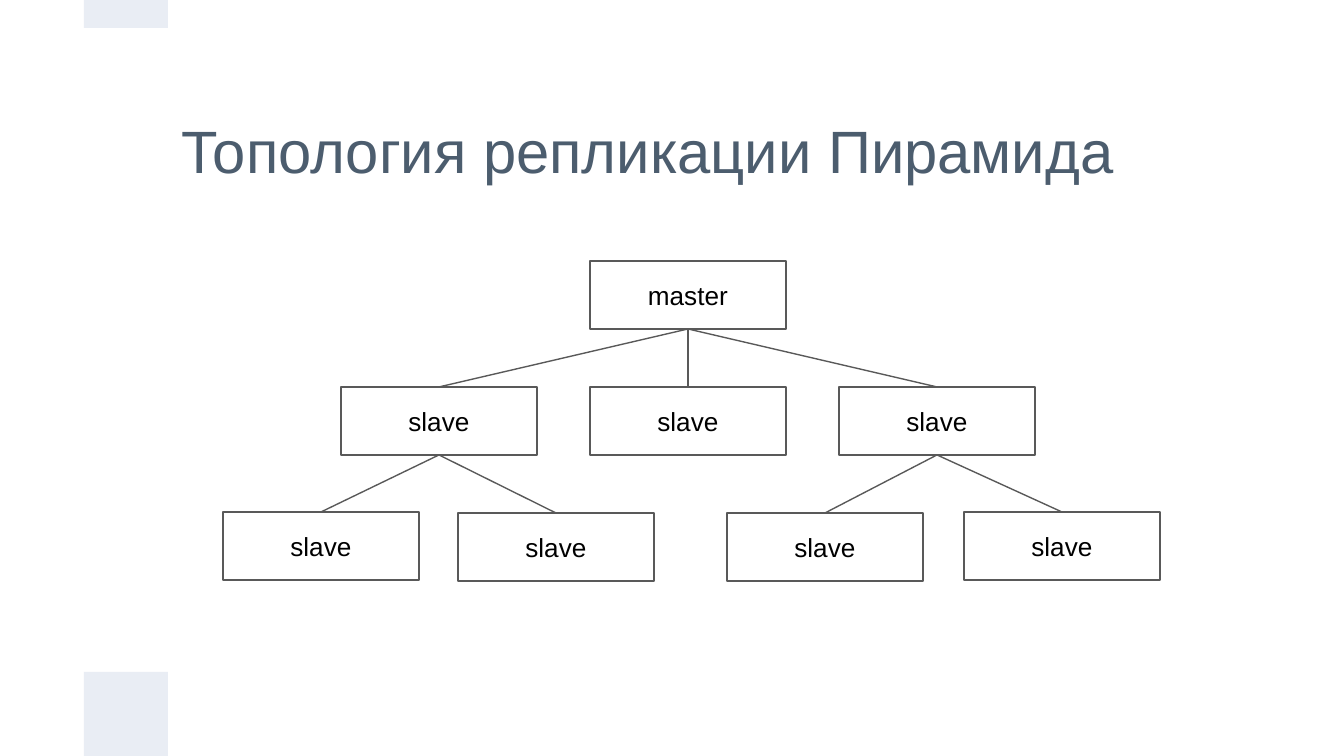
from dataclasses import dataclass

from lxml import etree
from pptx import Presentation
from pptx import util as u
from pptx.dml.color import RGBColor
from pptx.enum import shapes, text
from pptx.oxml import ns

SLIDE_W, SLIDE_H = 1344, 756
SCALE = u.Inches(10) / SLIDE_W
NODE_W, NODE_H = 196, 68
PAD = 13
BOTTOM, TOP = 2, 0


@dataclass(frozen=True)
class Theme:
    """Colours, type and line sizes of the slide."""
    font: str = "Arial"
    title: str = "4C5D6E"
    ink: str = "000000"
    line: str = "595959"
    accent: str = "E9EDF4"
    title_size: int = 32
    node_size: int = 14
    line_width: float = 0.75


THEME = Theme()

PYRAMID = ("master", 367, 0, [
    ("slave", 118, 126, [("slave", 0, 251, []), ("slave", 235, 252, [])]),
    ("slave", 367, 126, []),
    ("slave", 616, 126, [("slave", 504, 252, []), ("slave", 741, 251, [])]),
])


def px(length):
    """Turn px into EMU."""
    return u.Emu(round(length * SCALE))


def rgb(value):
    """Turn a hex string into a colour."""
    return RGBColor.from_string(value)


def write(shape, words, *, size, color, align):
    """Set the text of a shape and its format."""
    frame = shape.text_frame
    frame.text = words
    frame.word_wrap = True
    frame.auto_size = text.MSO_AUTO_SIZE.NONE
    frame.vertical_anchor = text.MSO_ANCHOR.MIDDLE
    frame.margin_left = frame.margin_right = px(PAD)
    frame.margin_top = frame.margin_bottom = px(PAD)
    paragraph = frame.paragraphs[0]
    paragraph.alignment = align
    font = paragraph.runs[0].font
    font.name, font.size, font.color.rgb = THEME.font, u.Pt(size), rgb(color)


def add_rect(slide, left, top, width, height, *, fill=None, line=None):
    """Add a flat rectangle with an optional fill and outline."""
    rect = slide.shapes.add_shape(
        shapes.MSO_SHAPE.RECTANGLE, px(left), px(top), px(width), px(height))
    rect.shadow.inherit = False
    if fill:
        rect.fill.solid()
        rect.fill.fore_color.rgb = rgb(fill)
    else:
        rect.fill.background()
    if line:
        rect.line.color.rgb = rgb(line)
        rect.line.width = u.Pt(THEME.line_width)
    else:
        rect.line.fill.background()
    return rect


def add_link(slide, parent, child):
    """Join the bottom of a parent to the top of its child."""
    link = slide.shapes.add_connector(shapes.MSO_CONNECTOR.STRAIGHT, 0, 0, 0, 0)
    link.begin_connect(parent, BOTTOM)
    link.end_connect(child, TOP)
    link.line.color.rgb = rgb(THEME.line)
    link.line.width = u.Pt(THEME.line_width)
    etree.SubElement(link._element.spPr, ns.qn("a:effectLst"))


def add_title(slide, words, left, top, width, height):
    """Place and format the title placeholder."""
    title = slide.shapes.title
    title.left, title.top = px(left), px(top)
    title.width, title.height = px(width), px(height)
    write(title, words, size=THEME.title_size, color=THEME.title,
          align=text.PP_ALIGN.LEFT)


def add_accents(slide, left, top, width, height):
    """Place accent blocks at both ends of a vertical strip."""
    add_rect(slide, left, top + height - width, width, width, fill=THEME.accent)
    add_rect(slide, left, top, width, width // 3, fill=THEME.accent)


def add_pyramid(slide, node, left, top):
    """Draw a node and its descendants and return the node's shape."""
    label, x, y, children = node
    parent = add_rect(slide, left + x, top + y, NODE_W, NODE_H, line=THEME.line)
    write(parent, label, size=THEME.node_size, color=THEME.ink,
          align=text.PP_ALIGN.CENTER)
    for child in children:
        add_link(slide, parent, add_pyramid(slide, child, left, top))
    return parent


def main():
    """Build and save the slide."""
    deck = Presentation()
    deck.slide_width, deck.slide_height = px(SLIDE_W), px(SLIDE_H)
    slide = deck.slides.add_slide(deck.slide_layouts.get_by_name("Title Only"))
    add_title(slide, "Топология репликации Пирамида", 168, 84, 1008, 131)
    add_accents(slide, 84, 0, 84, SLIDE_H)
    add_pyramid(slide, PYRAMID, 223, 261)
    deck.save("out.pptx")


if __name__ == "__main__":
    main()
